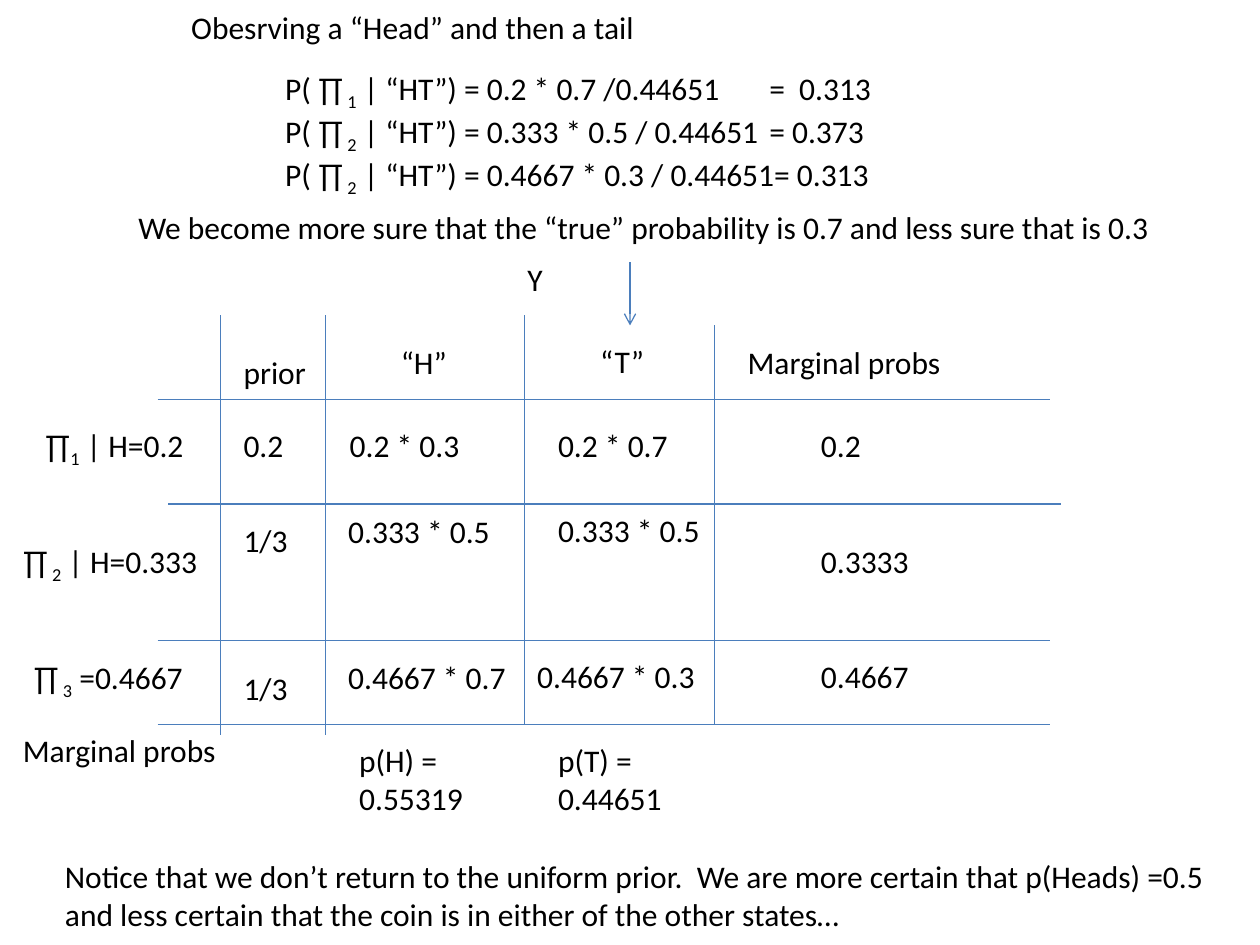
from lxml import etree
from pptx import Presentation, util as u
from pptx.dml.color import RGBColor
from pptx.enum import shapes, text
from pptx.oxml.ns import qn

COLOURS = {"text": "000000", "line": "4B7EBC"}
LINE_HEIGHT, BOX_PADDING = 0.77, 0.26
EQUALS_TAB = 9.76

# Content: (left, top, width, paragraphs), in cm; _x_ marks a subscript
TITLE = (3.6, 0.03, 9.55, ["Obesrving a “Head” and then a tail"])
POSTERIORS = (5.5, 1.27, 12.98, [
    "P( ∏_ 1_ | “HT”) = 0.2 * 0.7 /0.44651\t=  0.313",
    "P( ∏_ 2_ | “HT”) = 0.333 * 0.5 / 0.44651\t= 0.373",
    "P( ∏_ 2_ | “HT”) = 0.4667 * 0.3 / 0.44651= 0.313",
])
COMMENTS = [
    (2.54, 4.06, 21.29, ["We become more sure that the “true” probability is 0.7 "
                         "and less sure that is 0.3"]),
    (1.06, 17.15, 23.75, ["Notice that we don’t return to the uniform prior.  "
                          "We are more certain that p(Heads) =0.5",
                          "and less certain that the coin is in either of the other states…"]),
]
GRID_LABELS = [
    # States
    (0.66, 8.47, 3.35, ["∏_1_ | H=0.2"]),
    (0.21, 10.8, 4.11, ["∏_ 2_ | H=0.333"]),
    (0.43, 13.15, 3.61, ["∏_ 3_ =0.4667"]),
    (0.21, 14.61, 4.45, ["Marginal probs"]),
    # Prior
    (4.66, 6.99, 1.78, ["prior"]),
    (4.66, 8.47, 1.32, ["0.2"]),
    (4.66, 10.37, 1.42, ["1/3"]),
    (4.66, 13.37, 1.42, ["1/3"]),
    # Heads
    (7.83, 6.8, 1.45, ["“H”"]),
    (6.8, 8.47, 2.74, ["0.2 * 0.3"]),
    (6.77, 10.19, 3.4, ["0.333 * 0.5"]),
    (6.77, 13.15, 3.73, ["0.4667 * 0.7"]),
    (6.99, 14.82, 2.77, ["p(H) =", "0.55319"]),
    # Tails
    (10.38, 5.11, 0.81, ["Y"]),
    (11.85, 6.77, 1.45, ["“T”"]),
    (11.0, 8.47, 2.74, ["0.2 * 0.7"]),
    (11.0, 10.17, 3.4, ["0.333 * 0.5"]),
    (10.58, 13.13, 3.73, ["0.4667 * 0.3"]),
    (11.0, 14.82, 2.77, ["p(T) =", "0.44651"]),
    # Marginals
    (14.82, 6.8, 4.45, ["Marginal probs"]),
    (16.3, 8.47, 1.32, ["0.2"]),
    (16.3, 10.81, 2.29, ["0.3333"]),
    (16.3, 13.13, 2.29, ["0.4667"]),
]
ROW_LINES = [(3.18, 8.05), (3.39, 10.16), (3.18, 12.91), (3.18, 14.61)]  # left, y
ROW_LENGTH = 17.99
COLUMN_LINES = [(4.45, 6.35, 14.82), (6.56, 6.35, 14.82),  # x, top, bottom
                (10.58, 6.35, 14.61), (14.4, 6.56, 14.61)]
ARROW = (12.7, 5.29, 12.7, 6.56)


def fill_box(shape, left, top, width, paragraphs):
    shape.left, shape.top, shape.width = u.Cm(left), u.Cm(top), u.Cm(width)
    shape.height = u.Cm(BOX_PADDING + LINE_HEIGHT * len(paragraphs))
    frame = shape.text_frame
    frame.word_wrap = False
    frame.auto_size = text.MSO_AUTO_SIZE.SHAPE_TO_FIT_TEXT
    frame.vertical_anchor = text.MSO_ANCHOR.TOP
    for index, content in enumerate(paragraphs):
        paragraph = frame.add_paragraph() if index else frame.paragraphs[0]
        if "\t" in content:
            tabs = etree.SubElement(paragraph._p.get_or_add_pPr(), qn("a:tabLst"))
            etree.SubElement(tabs, qn("a:tab"), pos=str(u.Cm(EQUALS_TAB)), algn="l")
        paragraph.alignment = text.PP_ALIGN.LEFT
        paragraph.font.name, paragraph.font.size = "Calibri", u.Pt(18)
        paragraph.font.color.rgb = RGBColor.from_string(COLOURS["text"])
        for part, words in enumerate(content.split("_")):
            run = paragraph.add_run()
            run.text = words
            if part % 2:
                run._r.get_or_add_rPr().set("baseline", "-25000")


def add_line(slide, *ends):
    line = slide.shapes.add_connector(shapes.MSO_CONNECTOR.STRAIGHT, *map(u.Cm, ends))
    line.line.color.rgb = RGBColor.from_string(COLOURS["line"])
    line.line.width = u.Pt(0.75)
    etree.SubElement(line._element.spPr, qn("a:effectLst"))
    return line


def main():
    presentation = Presentation()
    presentation.slide_width, presentation.slide_height = u.Cm(25.4), u.Cm(19.05)
    slide = presentation.slides.add_slide(presentation.slide_layouts[5])

    # Title and text
    fill_box(slide.shapes.title, *TITLE)
    for box in [POSTERIORS, *COMMENTS, *GRID_LABELS]:
        fill_box(slide.shapes.add_textbox(0, 0, 0, 0), *box)

    # Grid lines
    for left, y in ROW_LINES:
        add_line(slide, left, y, left + ROW_LENGTH, y)
    for x, top, bottom in COLUMN_LINES:
        add_line(slide, x, top, x, bottom)

    # Arrow to the observed column
    arrow = add_line(slide, *ARROW)
    etree.SubElement(arrow.line._get_or_add_ln(), qn("a:tailEnd"), type="arrow")

    presentation.save("out.pptx")


if __name__ == "__main__":
    main()
